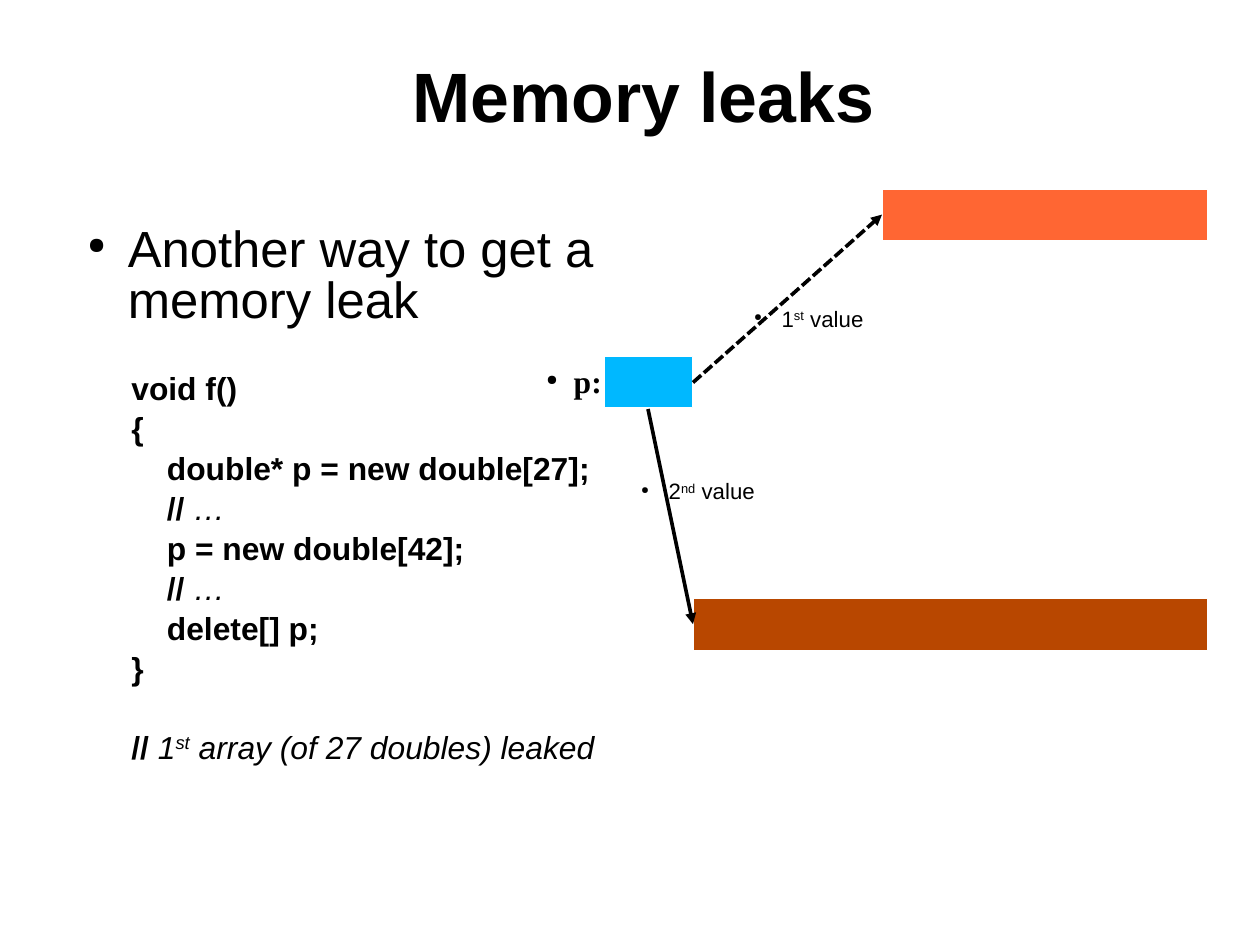
import lxml.etree
import pptx
import pptx.dml.color
import pptx.enum.dml
import pptx.enum.shapes
import pptx.enum.text
import pptx.oxml.ns
import pptx.util

Cm = pptx.util.Cm
Pt = pptx.util.Pt
qn = pptx.oxml.ns.qn
RGBColor = pptx.dml.color.RGBColor
Align = pptx.enum.text.PP_ALIGN
Anchor = pptx.enum.text.MSO_ANCHOR
Dash = pptx.enum.dml.MSO_LINE

BLACK = RGBColor(0x00, 0x00, 0x00)
WHITE = RGBColor(0xFF, 0xFF, 0xFF)
BLUE = RGBColor(0x00, 0xB8, 0xFF)
BROWN = RGBColor(0xB8, 0x47, 0x00)
ORANGE = RGBColor(0xFF, 0x66, 0x33)

BOLD = {"bold": True}
ITALIC = {"italic": True}
RAISED = {"raised": True}
RAISED_ITALIC = ITALIC | RAISED

BAR_HEIGHT = 1.14
CODE_MARGIN = 1.27
CODE_INDENT = 2.06
CODE_GAP = 5
SECTION_GAP = 29.5


def add_xml(parent, tag, **attributes):
    return lxml.etree.SubElement(parent, qn(tag), attributes)


class Page:
    """Holds the current slide and its default text style."""

    def __init__(self, deck, font="Arial", color=BLACK):
        self.shapes = deck.slides.add_slide(deck.slide_layouts[6]).shapes
        self.font = font
        self.color = color

    def text_box(self, left, top, width, height, anchor=Anchor.TOP):
        box = self.shapes.add_textbox(Cm(left), Cm(top), Cm(width), Cm(height))
        frame = box.text_frame
        settings = {"word_wrap": True, "vertical_anchor": anchor}
        for name, value in settings.items():
            setattr(frame, name, value)
        return frame

    def paragraph(self, frame, spans, size, margin=0, hanging=0, bullet=False,
                  font=None, **layout):
        """Add a paragraph of (text, format) spans, using the empty first one."""
        first = frame.paragraphs[0]
        para = frame.add_paragraph() if first.runs else first
        for name, value in layout.items():
            setattr(para, name, value)
        properties = para._p.get_or_add_pPr()
        properties.set("marL", str(Cm(margin)))
        properties.set("indent", str(Cm(-hanging)))
        if bullet:
            color = add_xml(properties, "a:buClr")
            add_xml(color, "a:srgbClr", val=str(self.color))
            add_xml(properties, "a:buSzPct", val="45000")
            add_xml(properties, "a:buChar", char="●")
        for text, style in spans:
            self.span(para, text, size, font or self.font, style)

    def span(self, para, text, size, font, style):
        run = para.add_run()
        run.text = text
        values = {"name": font, "size": Pt(size)} | style
        if values.pop("raised", False):
            run._r.get_or_add_rPr().set("baseline", "30000")
        for name, value in values.items():
            setattr(run.font, name, value)
        run.font.color.rgb = self.color

    def label(self, left, top, width, height, spans, size, font=None):
        frame = self.text_box(left, top, width, height)
        self.paragraph(frame, spans, size, margin=0.61, hanging=0.61,
                       bullet=True, font=font)

    def bar(self, left, top, width, fill):
        bar = self.shapes.add_shape(
            pptx.enum.shapes.MSO_SHAPE.RECTANGLE,
            Cm(left), Cm(top), Cm(width), Cm(BAR_HEIGHT))
        bar.shadow.inherit = False
        bar.fill.solid()
        bar.fill.fore_color.rgb = fill
        bar.line.color.rgb = WHITE
        bar.line.width = Pt(0.75)

    def arrow(self, start, end, dash=None):
        arrow = self.shapes.add_connector(
            pptx.enum.shapes.MSO_CONNECTOR.STRAIGHT,
            *(Cm(value) for value in start + end))
        arrow.line.color.rgb = self.color
        arrow.line.width = Pt(2.3)
        if dash:
            arrow.line.dash_style = dash
        add_xml(arrow.line._get_or_add_ln(), "a:tailEnd", type="triangle")
        add_xml(arrow._element.spPr, "a:effectLst")


def add_body(page):
    body = page.text_box(1.4, 4.9, 13.06, 14.94)
    page.paragraph(body, [("Another way to get a memory leak", {})], 32,
                   margin=1.19, hanging=0.89, bullet=True, line_spacing=0.84)
    elided = [("// ", BOLD), ("…", ITALIC)]
    leaked = [("// ", BOLD), ("1", ITALIC), ("st", RAISED_ITALIC),
              (" array (of 27 doubles) leaked", ITALIC)]
    code = [
        (CODE_MARGIN, SECTION_GAP, [("void f()", BOLD)]),
        (CODE_MARGIN, CODE_GAP, [("{", BOLD)]),
        (CODE_INDENT, CODE_GAP, [("double* p = new double[27];", BOLD)]),
        (CODE_INDENT, CODE_GAP, elided),
        (CODE_INDENT, CODE_GAP, [("p = new double[42];", BOLD)]),
        (CODE_INDENT, CODE_GAP, elided),
        (CODE_INDENT, CODE_GAP, [("delete[] p;", BOLD)]),
        (CODE_MARGIN, CODE_GAP, [("}", BOLD)]),
        (CODE_MARGIN, SECTION_GAP, leaked),
    ]
    for margin, gap, spans in code:
        page.paragraph(body, spans, 20, margin=margin, line_spacing=0.84,
                       space_before=Pt(gap))


def main():
    deck = pptx.Presentation()
    deck.slide_width = Cm(28)
    deck.slide_height = Cm(21)
    page = Page(deck)

    title = page.text_box(1.4, 0, 25.2, 4.2, Anchor.MIDDLE)
    page.paragraph(title, [("Memory leaks", BOLD)], 44, margin=0.61,
                   alignment=Align.CENTER)
    add_body(page)

    page.label(11.89, 7.92, 1.98, 1.09, [("p:", BOLD)], 19.9, "Times New Roman")
    page.bar(13.44, 7.92, 1.96, BLUE)
    page.bar(15.4, 13.31, 11.43, BROWN)
    page.bar(19.6, 4.2, 7.23, ORANGE)
    page.arrow((15.4, 8.5), (19.6, 4.77), Dash.SQUARE_DOT)
    page.arrow((14.4, 9.09), (15.4, 13.87))
    for left, top, width, number, ending in [
        (14, 10.49, 5.13, "2", "nd"),
        (16.51, 6.65, 4.45, "1", "st"),
    ]:
        page.label(left, top, width, 0.86,
                   [(number, {}), (ending, RAISED), (" value", {})], 14)

    deck.save("out.pptx")


if __name__ == "__main__":
    main()
